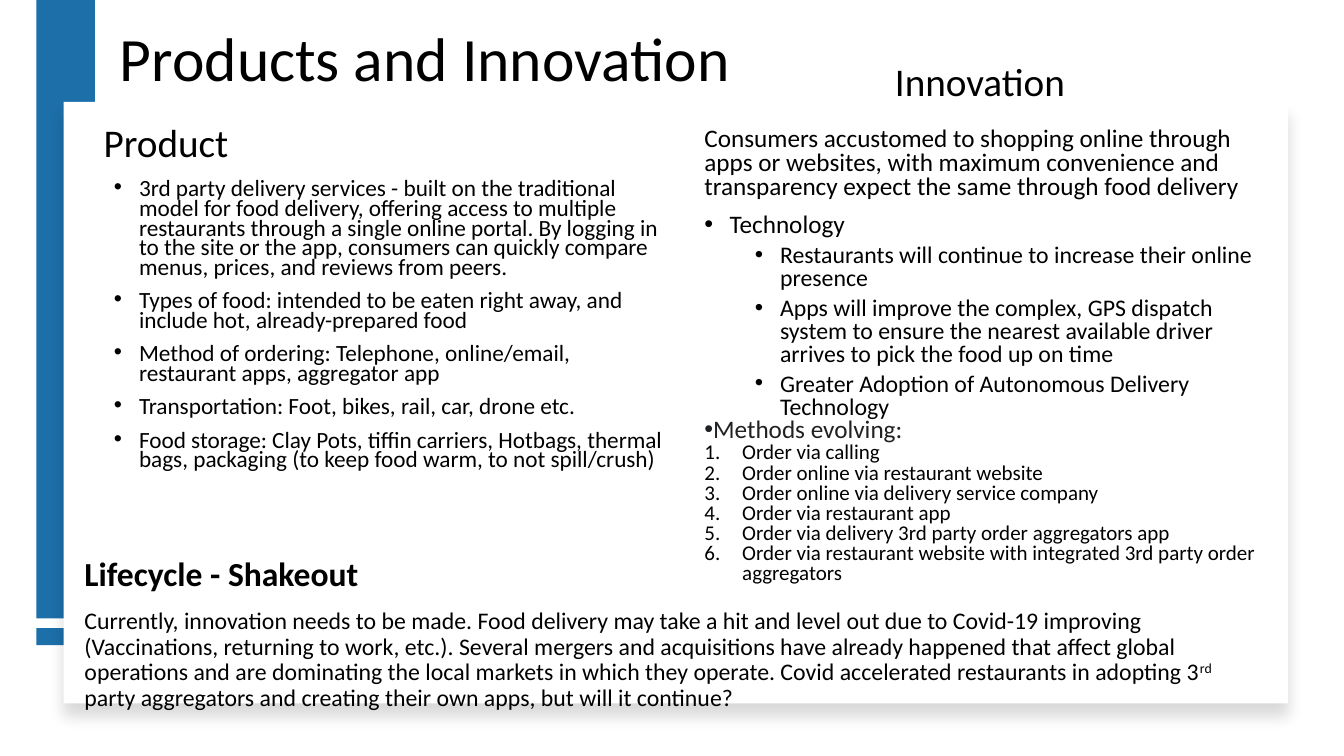
"""Build the Products and Innovation slide."""
from lxml import etree
from pptx import Presentation
from pptx.dml.color import RGBColor
from pptx.enum.shapes import MSO_SHAPE
from pptx.enum.text import MSO_ANCHOR, MSO_AUTO_SIZE, PP_ALIGN
from pptx.oxml.ns import qn
from pptx.util import Pt

RECTANGLE = MSO_SHAPE.RECTANGLE
TOP, MIDDLE, BOTTOM = MSO_ANCHOR.TOP, MSO_ANCHOR.MIDDLE, MSO_ANCHOR.BOTTOM
LEFT = PP_ALIGN.LEFT
NO_FIT = MSO_AUTO_SIZE.NONE

FONT = "Calibri"
COLORS = {"blue": "1D6FA9", "white": "FFFFFF", "black": "000000", "charcoal": "202122"}

TITLE = "Products and Innovation"
TITLE_BOX = (78.5, 14.4, 455.8, 59.8)
BARS = [(25.9, 448.6, 41.8, 12.2), (25.9, 0, 41.8, 441.7)]
PANEL = (45.4, 72.7, 874.8, 429.8)

STYLES = {
    "heading": {"size": 28, "line": 0.8, "before": 10},
    "product": {"size": 16.6, "line": 0.7, "before": 10, "margin": 18, "indent": -18, "bullet": "•"},
    "intro": {"size": 18, "line": 0.8, "before": 10},
    "topic": {"size": 18, "line": 0.8, "before": 10, "margin": 18, "indent": -18, "bullet": "•"},
    "trend": {"size": 17, "line": 0.8, "before": 5, "margin": 54, "indent": -18, "bullet": "•", "level": 1},
    "methods": {"size": 18, "line": 0.8, "margin": 0, "indent": -18, "bullet": "•", "color": "charcoal"},
    "method": {"size": 15, "line": 0.8, "margin": 27, "indent": -27, "bullet": "1."},
    "lifecycle": {"size": 24, "line": 0.8, "before": 10, "bold": True},
    "outlook": {"size": 17, "line": 0.9, "before": 10},
}

TEXTS = [
    ((67, 87.8, 406, 37.4), TOP, [("heading", ["Product"])]),
    ((74.2, 126, 406, 251.3), TOP, [
        ("product", [
            "3rd party delivery services - built on the traditional model for food delivery, offering "
            "access to multiple restaurants through a single online portal. By logging in to the site "
            "or the app, consumers can quickly compare menus, prices, and reviews from peers.",
            "Types of food: intended to be eaten right away, and include hot, already-prepared food",
            "Method of ordering: Telephone, online/email, restaurant apps, aggregator app",
            "Transportation: Foot, bikes, rail, car, drone etc.",
            "Food storage: Clay Pots, tiffin carriers, Hotbags, thermal bags, packaging "
            "(to keep food warm, to not spill/crush)",
        ]),
    ]),
    ((632.2, 43.9, 165.6, 37.4), TOP, [("heading", ["Innovation"])]),
    ((496.1, 87.8, 408.2, 355.7), TOP, [
        ("intro", [
            "Consumers accustomed to shopping online through apps or websites, with maximum "
            "convenience and transparency expect the same through food delivery",
        ]),
        ("topic", ["Technology"]),
        ("trend", [
            "Restaurants will continue to increase their online presence",
            "Apps will improve the complex, GPS dispatch system to ensure the nearest available "
            "driver arrives to pick the food up on time",
            "Greater Adoption of Autonomous Delivery Technology",
        ]),
        ("methods", ["Methods evolving:"]),
        ("method", [
            "Order via calling",
            "Order online via restaurant website",
            "Order online via delivery service company",
            "Order via restaurant app",
            "Order via delivery 3rd party order aggregators app",
            "Order via restaurant website with integrated 3rd party order aggregators",
        ]),
    ]),
    ((53.3, 394.6, 408.2, 32.4), BOTTOM, [("lifecycle", ["Lifecycle - Shakeout"])]),
    ((53.3, 431.3, 828, 94.3), TOP, [
        ("outlook", [(
            "Currently, innovation needs to be made. Food delivery may take a hit and level out due to "
            "Covid-19 improving (Vaccinations, returning to work, etc.). Several mergers and "
            "acquisitions have already happened that affect global operations and are dominating the "
            "local markets in which they operate. Covid accelerated restaurants in adopting 3",
            "rd",
            " party aggregators and creating their own apps, but will it continue?",
        )]),
    ]),
]


def rgb(name):
    return RGBColor.from_string(COLORS[name])


def points(box):
    return [Pt(length) for length in box]


def add_block(slide, box, color):
    block = slide.shapes.add_shape(RECTANGLE, *points(box))
    block.fill.solid()
    block.fill.fore_color.rgb = rgb(color)
    block.line.fill.background()
    block.shadow.inherit = False
    return block


def add_soft_shadow(block):
    effects = block._element.spPr.find(qn("a:effectLst"))
    shadow = etree.SubElement(effects, qn("a:outerShdw"), blurRad=str(Pt(11)),
                              dist=str(Pt(10)), dir="5400000", rotWithShape="0")
    shade = etree.SubElement(shadow, qn("a:srgbClr"), val=COLORS["black"])
    etree.SubElement(shade, qn("a:alpha"), val="15000")


def set_bullet(paragraph, style):
    properties = paragraph._p.get_or_add_pPr()
    properties.set("marL", str(Pt(style["margin"])))
    properties.set("indent", str(Pt(style["indent"])))
    if style["bullet"] == "1.":
        etree.SubElement(properties, qn("a:buFont"), typeface="+mj-lt")
        etree.SubElement(properties, qn("a:buAutoNum"), type="arabicPeriod")
    else:
        etree.SubElement(properties, qn("a:buFont"), typeface="Arial")
        etree.SubElement(properties, qn("a:buChar"), char=style["bullet"])


def set_font(font, size, color="black", bold=False):
    font.name = FONT
    font.size = Pt(size)
    font.bold = bold
    font.color.rgb = rgb(color)


def write_paragraph(paragraph, content, style):
    paragraph.level = style.get("level", 0)
    paragraph.line_spacing = style["line"]
    paragraph.space_before = Pt(style.get("before", 0))
    if "bullet" in style:
        set_bullet(paragraph, style)
    set_font(paragraph.font, style["size"], style.get("color", "black"), style.get("bold", False))
    parts = (content,) if isinstance(content, str) else content
    for index, part in enumerate(parts):
        run = paragraph.add_run()
        run.text = part
        if index == 1:
            run.font._element.set("baseline", "30000")


def add_text(slide, box, anchor, groups):
    frame = slide.shapes.add_textbox(*points(box)).text_frame
    frame.word_wrap = True
    frame.vertical_anchor = anchor
    lines = [(STYLES[kind], content) for kind, contents in groups for content in contents]
    for index, (style, content) in enumerate(lines):
        paragraph = frame.add_paragraph() if index else frame.paragraphs[0]
        write_paragraph(paragraph, content, style)


def add_title(slide):
    title = slide.shapes.title
    title.left, title.top, title.width, title.height = points(TITLE_BOX)
    frame = title.text_frame
    frame.text = TITLE
    frame.word_wrap = True
    frame.auto_size = NO_FIT
    frame.vertical_anchor = MIDDLE
    heading = frame.paragraphs[0]
    heading.alignment = LEFT
    heading.line_spacing = 0.9
    set_font(heading.font, 44)


def main():
    deck = Presentation()
    deck.slide_width, deck.slide_height = Pt(960), Pt(540)
    slide = deck.slides.add_slide(deck.slide_layouts[5])
    for bar in BARS:
        add_block(slide, bar, "blue")
    add_soft_shadow(add_block(slide, PANEL, "white"))
    add_title(slide)
    for box, anchor, groups in TEXTS:
        add_text(slide, box, anchor, groups)
    deck.save("out.pptx")


if __name__ == "__main__":
    main()
